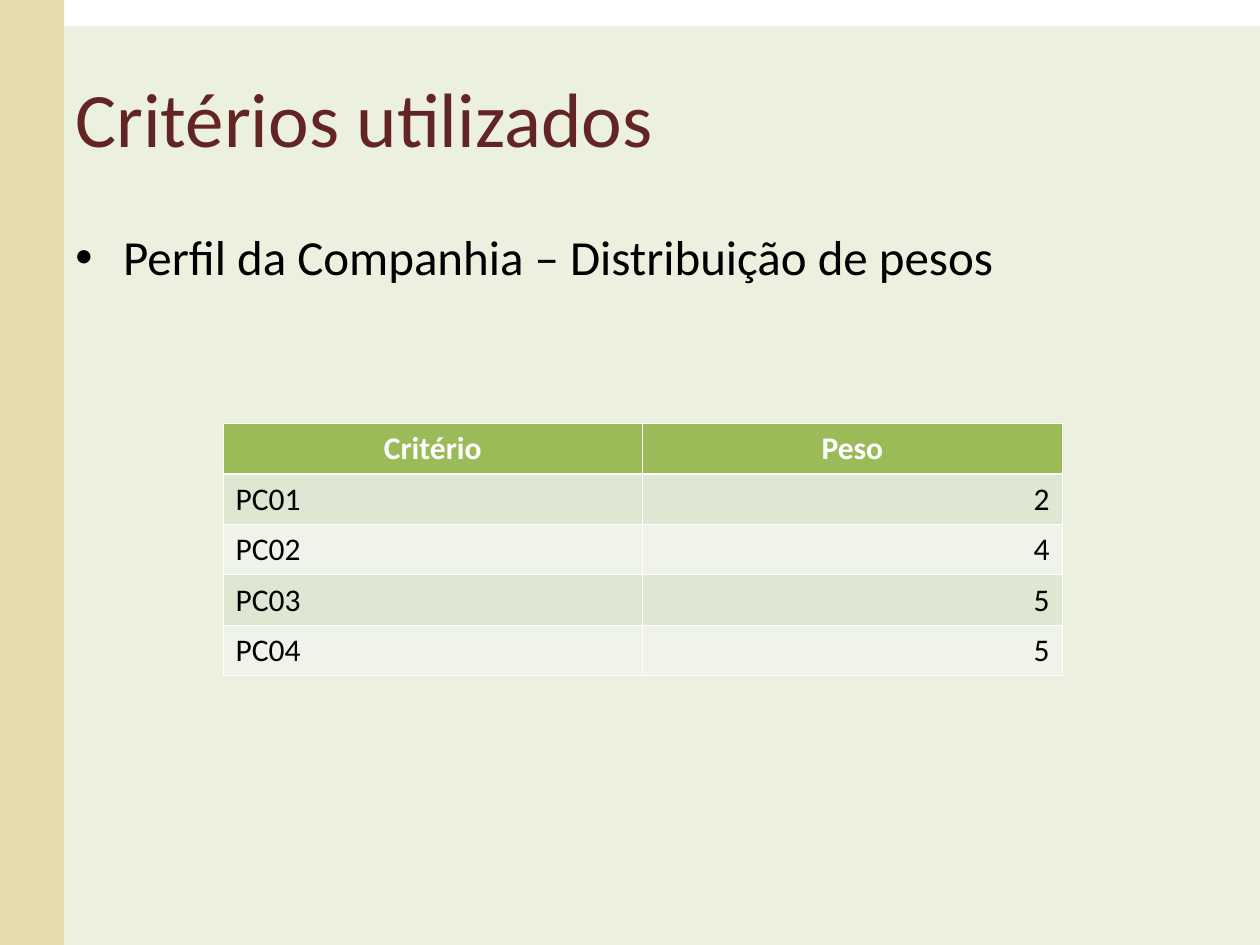
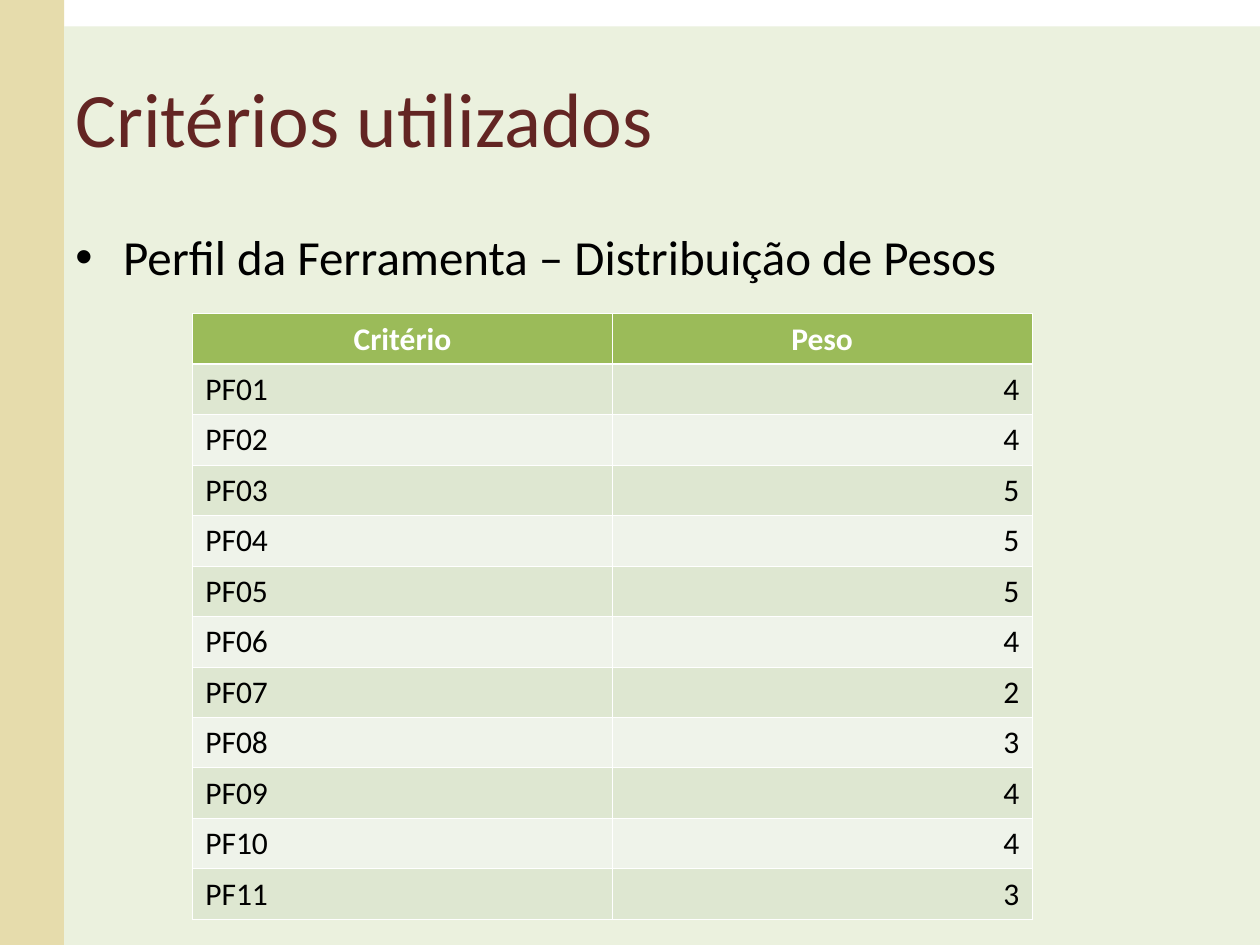
import pptx
import pptx.util
import pptx.dml.color
import pptx.enum.shapes
import pptx.enum.text
import pptx.oxml.ns
from lxml import etree

Inches, Pt = pptx.util.Inches, pptx.util.Pt
RGB = pptx.dml.color.RGBColor
ALIGN = pptx.enum.text.PP_ALIGN
ANCHOR = pptx.enum.text.MSO_ANCHOR
qn = pptx.oxml.ns.qn

TITLE = "Critérios utilizados"
HEADER = ("Critério", "Peso")
SLIDES = [
    {"topic": "Perfil da Companhia – Distribuição de pesos",
     "prefix": "PC", "weights": [2, 4, 5, 5], "table_at": (1.77, 3.36)},
    {"topic": "Perfil da Ferramenta – Distribuição de Pesos",
     "prefix": "PF", "weights": [4, 4, 5, 5, 5, 4, 2, 3, 4, 4, 3],
     "table_at": (1.53, 2.49)},
]

WIDTH, HEIGHT = 10, 7.5
STRIP_W, PANEL_TOP = 0.51, 0.21
MARGIN = 0.5
COL_W, ROW_H = 3.33, 0.4
THIN, THICK = 0.45, 1.47
INDENT = 0.38

SAND = RGB(0xE6, 0xDC, 0xAC)
PALE_GREEN = RGB(0xEB, 0xF1, 0xDE)
WINE = RGB(0x63, 0x25, 0x23)
GREEN = RGB(0x9B, 0xBB, 0x59)
STRIPES = (RGB(0xDE, 0xE7, 0xD1), RGB(0xEF, 0xF3, 0xEA))
WHITE = RGB(0xFF, 0xFF, 0xFF)
BLACK = RGB(0, 0, 0)

TITLE_FONT = {"size": Pt(44), "color": WINE}
TOPIC_FONT = {"size": Pt(28), "color": BLACK}
HEAD_FONT = {"size": Pt(18), "color": WHITE, "bold": True}
CELL_FONT = {"size": Pt(18), "color": BLACK, "bold": False}


def write(tf, text, font):
    p = tf.paragraphs[0]
    r = p.add_run()
    r.text = text
    for name, value in {"name": "Calibri", **font}.items():
        if name == "color":
            r.font.color.rgb = value
        else:
            setattr(r.font, name, value)
    return p


def add_band(s, color, *box):
    sp = s.shapes.add_shape(pptx.enum.shapes.MSO_SHAPE.RECTANGLE, *map(Inches, box))
    sp.shadow.inherit = False
    sp.fill.solid()
    sp.fill.fore_color.rgb = color
    sp.line.fill.background()


def add_text(s, text, font, top, height, anchor):
    box = (MARGIN, top, WIDTH - 2 * MARGIN, height)
    tf = s.shapes.add_textbox(*map(Inches, box)).text_frame
    tf.word_wrap = True
    tf.vertical_anchor = anchor
    return write(tf, text, font)


def add_bullet(p):
    p.space_before = Pt(7)
    pPr = p._p.get_or_add_pPr()
    pPr.set("marL", str(Inches(INDENT)))
    pPr.set("indent", str(-Inches(INDENT)))
    etree.SubElement(pPr, qn("a:buFont")).set("typeface", "Arial")
    etree.SubElement(pPr, qn("a:buChar")).set("char", "•")


def set_borders(cell, top, bottom):
    tcPr = cell._tc.get_or_add_tcPr()
    sides = {"a:lnL": THIN, "a:lnR": THIN, "a:lnT": top, "a:lnB": bottom}
    for i, (tag, width) in enumerate(sides.items()):
        ln = etree.Element(qn(tag), w=str(Pt(width)))
        fill = etree.SubElement(ln, qn("a:solidFill"))
        etree.SubElement(fill, qn("a:srgbClr")).set("val", str(WHITE))
        tcPr.insert(i, ln)


def add_weights(s, prefix, weights, table_at):
    rows = [HEADER] + [(f"{prefix}{n:02}", str(w)) for n, w in enumerate(weights, 1)]
    size = (COL_W * len(HEADER), ROW_H * len(rows))
    table = s.shapes.add_table(len(rows), len(HEADER),
                               *map(Inches, table_at + size)).table
    for i, row in enumerate(rows):
        head = i == 0
        for j, text in enumerate(row):
            cell = table.cell(i, j)
            cell.fill.solid()
            cell.fill.fore_color.rgb = GREEN if head else STRIPES[(i - 1) % 2]
            set_borders(cell, THICK if i == 1 else THIN, THICK if head else THIN)
            p = write(cell.text_frame, text, HEAD_FONT if head else CELL_FONT)
            p.alignment = ALIGN.CENTER if head else (ALIGN.LEFT, ALIGN.RIGHT)[j]


def main():
    prs = pptx.Presentation()
    prs.slide_width, prs.slide_height = Inches(WIDTH), Inches(HEIGHT)
    for content in SLIDES:
        s = prs.slides.add_slide(prs.slide_layouts[6])
        add_band(s, SAND, 0, 0, STRIP_W, HEIGHT)
        add_band(s, PALE_GREEN, STRIP_W, PANEL_TOP, WIDTH - STRIP_W, HEIGHT - PANEL_TOP)
        add_text(s, TITLE, TITLE_FONT, 0.3, 1.25, ANCHOR.MIDDLE)
        add_bullet(add_text(s, content["topic"], TOPIC_FONT, 1.75, 4.95, ANCHOR.TOP))
        add_weights(s, content["prefix"], content["weights"], content["table_at"])
    prs.save("out.pptx")


if __name__ == "__main__":
    main()
